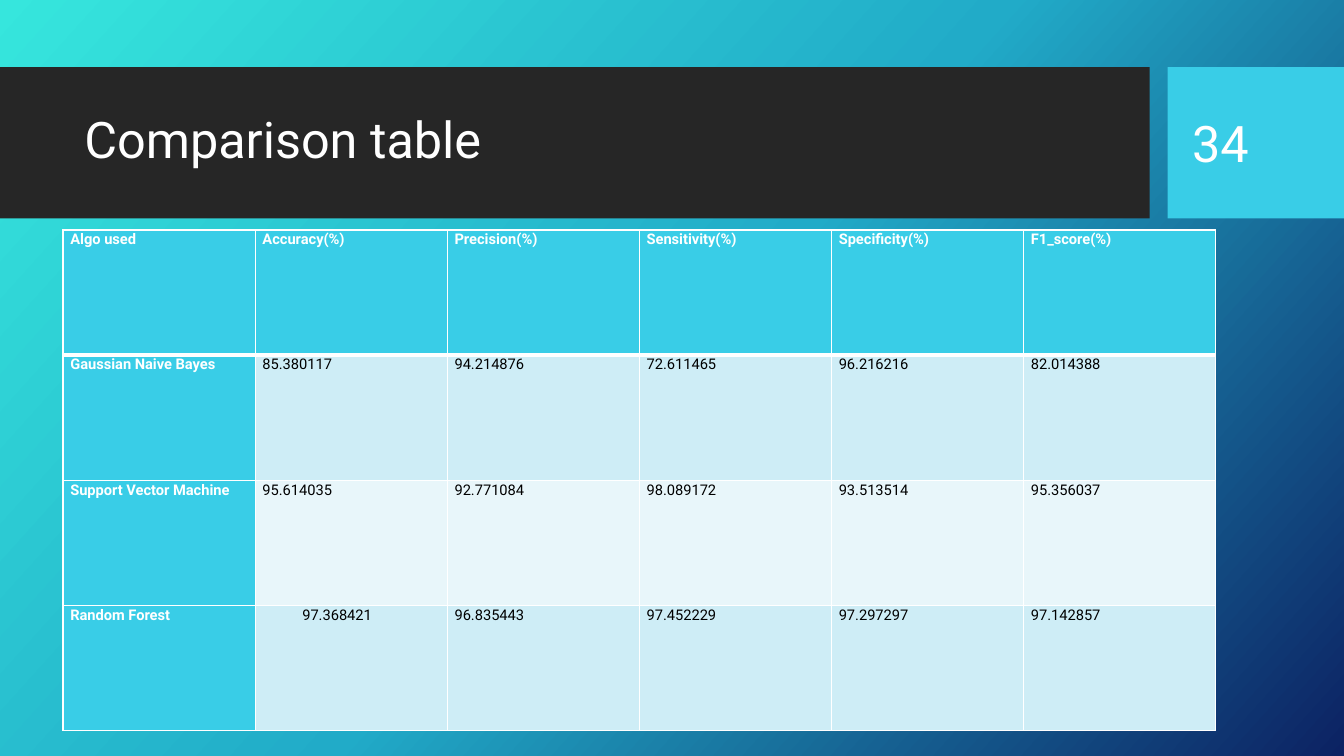
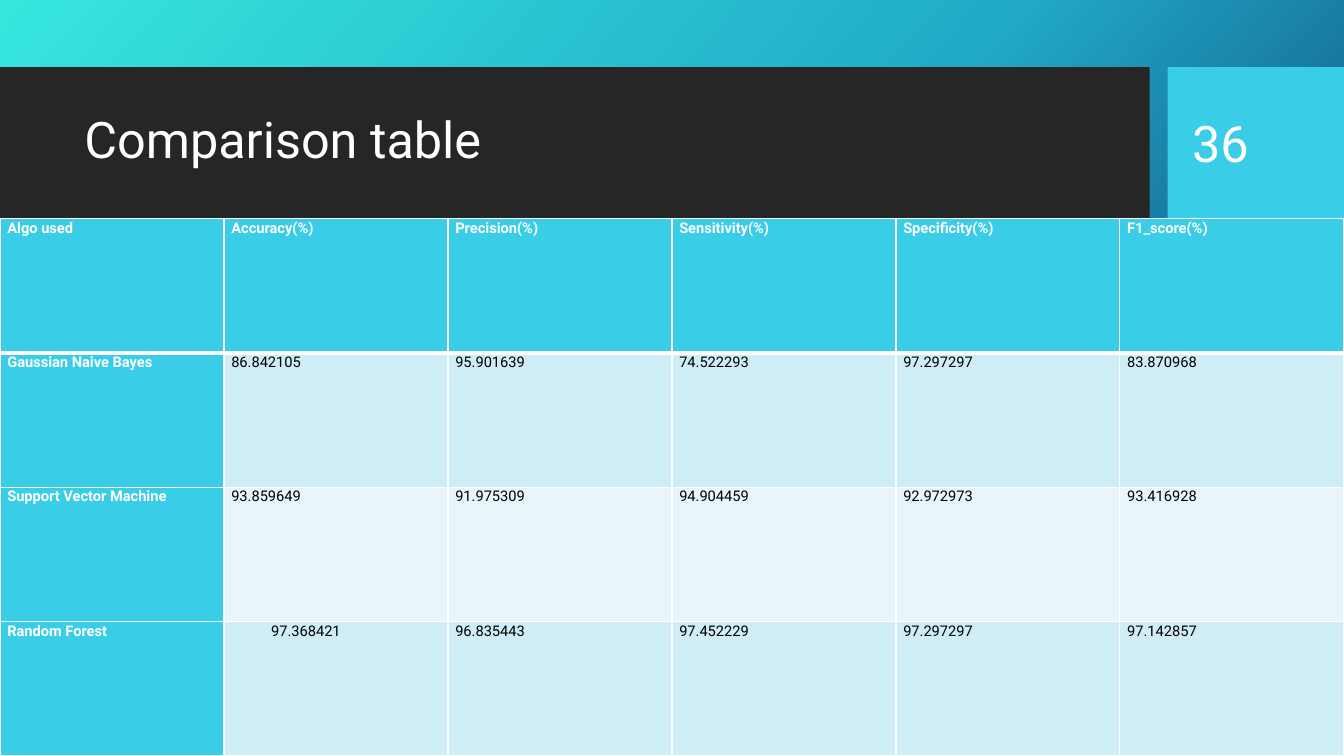
"""Build two comparison-table slides that share one banded design."""
from dataclasses import dataclass

from lxml.etree import SubElement
from pptx import Presentation
from pptx.dml.color import RGBColor
from pptx.enum.shapes import MSO_SHAPE as Shape
from pptx.enum.text import MSO_ANCHOR as Anchor
from pptx.oxml.ns import qn
from pptx.util import Emu, Pt

EMU_PER_PX = 9525
FONT = "Roboto"
WHITE, BLACK = "FFFFFF", "000000"
CHARCOAL, CYAN = "262626", "39CDE7"
BAND_FILLS = ("E8F6FA", "CEEDF6")
GRADIENT = ((0, "36E6DD"), (50, "21ABC8"), (100, "0C2263"))
GRADIENT_ANGLE = 42
THIN, THICK = 1, 3
CELL_INSET, FOREST_INDENT = 7, 38

HEADER = ("Algo used", "Accuracy(%)", "Precision(%)", "Sensitivity(%)",
          "Specificity(%)", "F1_score(%)")
FOREST = ("Random Forest", "97.368421", "96.835443", "97.452229",
          "97.297297", "97.142857")


@dataclass(frozen=True)
class Area:
    left: int
    top: int
    width: int
    height: int

    def emu(self) -> tuple:
        return tuple(px(n) for n in (self.left, self.top, self.width, self.height))


@dataclass(frozen=True)
class Comparison:
    number: str
    area: Area
    bayes: tuple
    vector: tuple

    def rows(self) -> tuple:
        return (HEADER, ("Gaussian Naive Bayes", *self.bayes),
                ("Support Vector Machine", *self.vector), FOREST)


BANDS = ((Area(0, 64, 1095, 144), CHARCOAL), (Area(1112, 64, 168, 144), CYAN))
TITLE_AREA = Area(71, 79, 1009, 113)
NUMBER_AREA = Area(1126, 79, 121, 114)
COMPARISONS = (
    Comparison(
        "34", Area(60, 219, 1098, 477),
        ("85.380117", "94.214876", "72.611465", "96.216216", "82.014388"),
        ("95.614035", "92.771084", "98.089172", "93.513514", "95.356037")),
    Comparison(
        "36", Area(0, 208, 1280, 512),
        ("86.842105", "95.901639", "74.522293", "97.297297", "83.870968"),
        ("93.859649", "91.975309", "94.904459", "92.972973", "93.416928")),
)


def px(length: int) -> Emu:
    return Emu(length * EMU_PER_PX)


def color(code: str) -> RGBColor:
    return RGBColor.from_string(code)


def write(para, text: str, size: float, code: str, bold: bool, spacing: float) -> None:
    para.text = text
    para.line_spacing = spacing
    para.font.name = FONT
    para.font.size = Pt(size)
    para.font.bold = bold
    para.font.color.rgb = color(code)


def paint_background(master) -> None:
    fill = master.background.fill
    fill.gradient()
    fill.gradient_angle = 360 - GRADIENT_ANGLE
    stops = next(master.element.iter(qn("a:gsLst")))
    stops.clear()
    for percent, code in GRADIENT:
        stop = SubElement(stops, qn("a:gs"), pos=str(percent * 1000))
        SubElement(stop, qn("a:srgbClr"), val=code)


def add_band(page, area: Area, code: str) -> None:
    band = page.shapes.add_shape(Shape.RECTANGLE, *area.emu())
    band.shadow.inherit = False
    band.fill.solid()
    band.fill.fore_color.rgb = color(code)
    band.line.fill.background()


def add_heading(page, area: Area, text: str, spacing: float = 1.0) -> None:
    frame = page.shapes.add_textbox(*area.emu()).text_frame
    frame.word_wrap = True
    frame.vertical_anchor = Anchor.MIDDLE
    write(frame.paragraphs[0], text, 36, WHITE, False, spacing)


def add_borders(cell, row: int) -> None:
    properties = cell._tc.get_or_add_tcPr()
    widths = {"a:lnL": THIN, "a:lnR": THIN,
              "a:lnT": THICK if row == 1 else THIN,
              "a:lnB": THICK if row == 0 else THIN}
    for tag, width in widths.items():
        line = SubElement(properties, qn(tag), w=str(Pt(width)))
        fill = SubElement(line, qn("a:solidFill"))
        SubElement(fill, qn("a:srgbClr"), val=WHITE)


def style_cell(cell, text: str, row: int, column: int) -> None:
    heading = row == 0 or column == 0
    indented = text == FOREST[1] and column == 1
    add_borders(cell, row)
    cell.fill.solid()
    cell.fill.fore_color.rgb = color(CYAN if heading else BAND_FILLS[row % 2])
    cell.margin_left = px(CELL_INSET + (FOREST_INDENT if indented else 0))
    cell.margin_right = px(CELL_INSET)
    cell.margin_top = cell.margin_bottom = 0
    write(cell.text_frame.paragraphs[0], text, 10.5,
          WHITE if heading else BLACK, heading, 1.07)


def add_comparison(page, comparison: Comparison) -> None:
    rows = comparison.rows()
    table = page.shapes.add_table(len(rows), len(HEADER), *comparison.area.emu()).table
    table.first_row = table.horz_banding = False
    for row, texts in enumerate(rows):
        for column, text in enumerate(texts):
            style_cell(table.cell(row, column), text, row, column)


def main() -> None:
    deck = Presentation()
    deck.slide_width, deck.slide_height = px(1280), px(720)
    paint_background(deck.slide_master)
    for comparison in COMPARISONS:
        page = deck.slides.add_slide(deck.slide_layouts[6])
        for area, code in BANDS:
            add_band(page, area, code)
        add_heading(page, TITLE_AREA, "Comparison table", 0.9)
        add_comparison(page, comparison)
        add_heading(page, NUMBER_AREA, comparison.number)
    deck.save("out.pptx")


if __name__ == "__main__":
    main()
